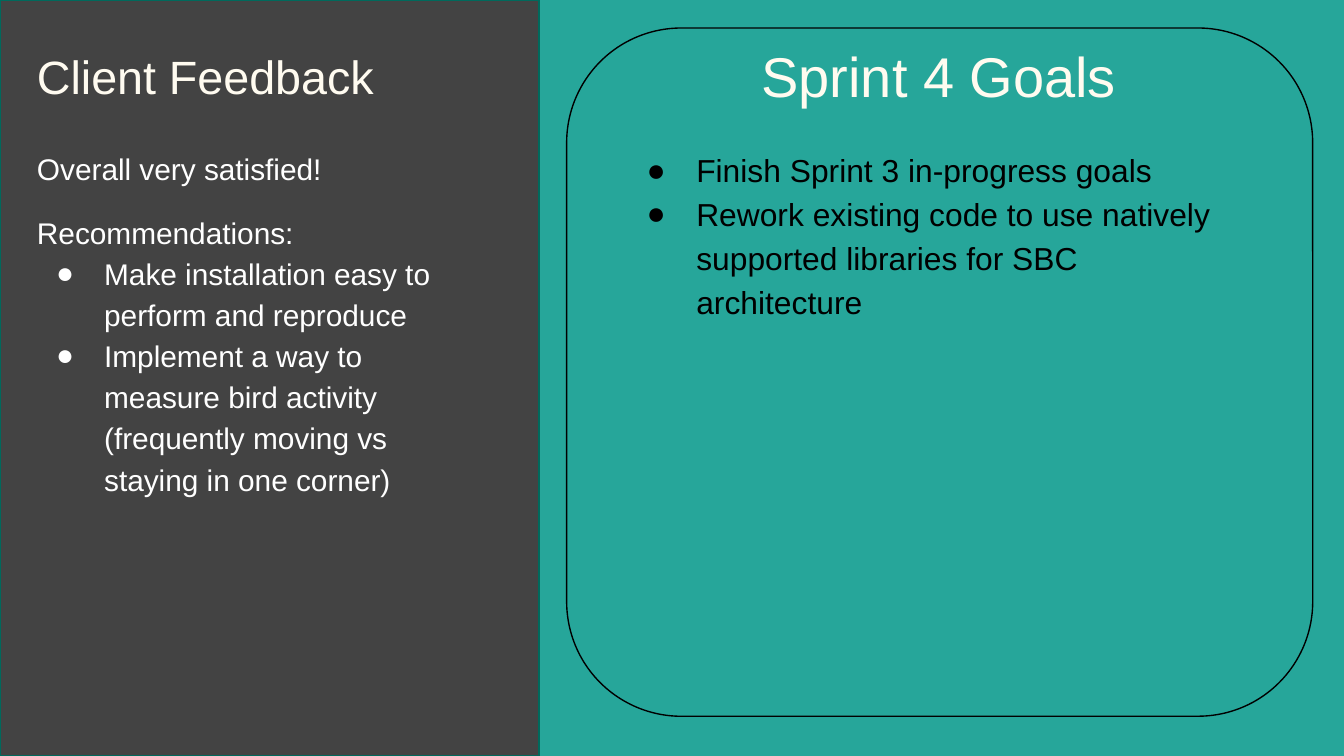
"""Build a slide with client feedback beside the goals of the next sprint."""
from lxml.etree import SubElement
from pptx import Presentation
from pptx.dml.color import RGBColor
from pptx.enum.shapes import MSO_SHAPE
from pptx.enum.text import MSO_ANCHOR, PP_ALIGN
from pptx.oxml.ns import qn
from pptx.util import Cm, Pt


def color(value):
    """Turn a hex string into a colour."""
    return RGBColor.from_string(value)


def add_text(page, place, lines, size, ink, anchor=MSO_ANCHOR.TOP,
             align=PP_ALIGN.LEFT, spacing=1.0, hang=0):
    """Add a text box from (text, bulleted, space before) lines."""
    box = page.shapes.add_textbox(*[Cm(length) for length in place])
    frame = box.text_frame
    frame.word_wrap = True
    frame.vertical_anchor = anchor
    frame.margin_left = frame.margin_right = Cm(0.25)
    frame.margin_top = frame.margin_bottom = Cm(0.25)
    for index, (text, bulleted, before) in enumerate(lines):
        para = frame.add_paragraph() if index else frame.paragraphs[0]
        para.alignment = align
        para.line_spacing = spacing
        para.space_before = Pt(before)
        span = para.add_run()
        span.text = text
        span.font.name = "Arial"
        span.font.size = Pt(size)
        span.font.color.rgb = color(ink)
        if bulleted:
            properties = para._p.get_or_add_pPr()
            properties.set("marL", str(Cm(1.27)))
            properties.set("indent", str(-Cm(hang)))
            bullet_color = SubElement(properties, qn("a:buClr"))
            SubElement(bullet_color, qn("a:srgbClr"), val=ink)
            SubElement(properties, qn("a:buFont"), typeface="Arial")
            SubElement(properties, qn("a:buChar"), char="●")


deck = Presentation()
deck.slide_width, deck.slide_height = Cm(25.4), Cm(14.29)
page = deck.slides.add_slide(deck.slide_layouts[6])
page.background.fill.solid()
page.background.fill.fore_color.rgb = color("26A69A")

panels = [
    (MSO_SHAPE.ROUNDED_RECTANGLE, (10.71, 0.53, 14.1, 13.01), None, "000000"),
    (MSO_SHAPE.RECTANGLE, (0, 0, 10.19, 14.29), "434343", "00695C"),
]
for kind, place, fill, line in panels:
    panel = page.shapes.add_shape(kind, *[Cm(length) for length in place])
    panel.shadow.inherit = False
    panel.line.color.rgb = color(line)
    panel.line.width = Pt(0.75)
    if fill:
        panel.fill.solid()
        panel.fill.fore_color.rgb = color(fill)
    else:
        panel.fill.background()

titles = [
    ("Sprint 4 Goals", 13.11, 30, PP_ALIGN.CENTER),
    ("Client Feedback", 0.45, 25, PP_ALIGN.LEFT),
]
for title, left, size, align in titles:
    add_text(page, (left, 0.34, 9.27, 2.18), [(title, False, 0)], size,
             "FFFBF0", MSO_ANCHOR.MIDDLE, align)

feedback = [
    ("Overall very satisfied!", False, 0),
    ("Recommendations:", False, 12),
    ("Make installation easy to perform and reproduce", True, 0),
    ("Implement a way to measure bird activity "
     "(frequently moving vs staying in one corner)", True, 0),
]
goals = [
    ("Finish Sprint 3 in-progress goals", True, 0),
    ("Rework existing code to use natively "
     "supported libraries for SBC architecture", True, 0),
]
add_text(page, (0.45, 2.5, 8.41, 9.3), feedback, 16, "FFFFFF",
         spacing=1.15, hang=0.91)
add_text(page, (11.64, 2.5, 12.24, 9.3), goals, 17, "000000",
         spacing=1.15, hang=0.94)

deck.save("out.pptx")
